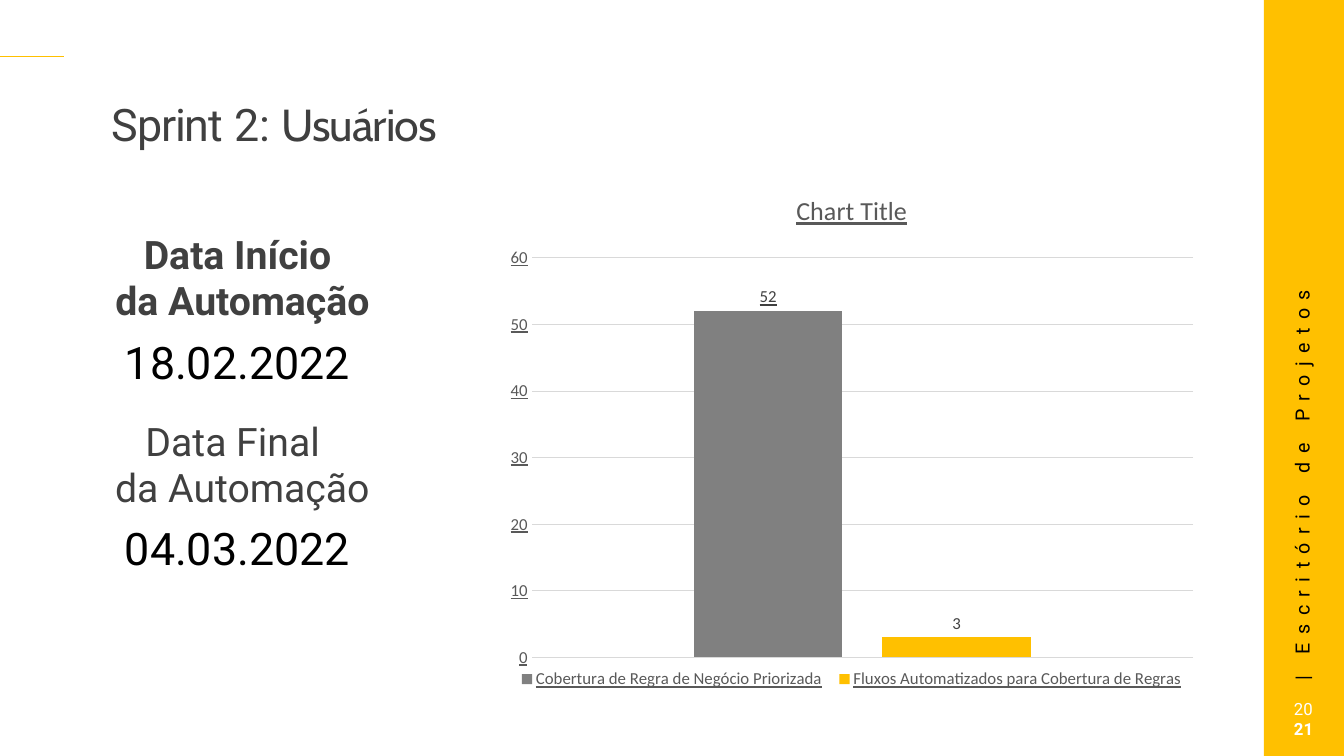
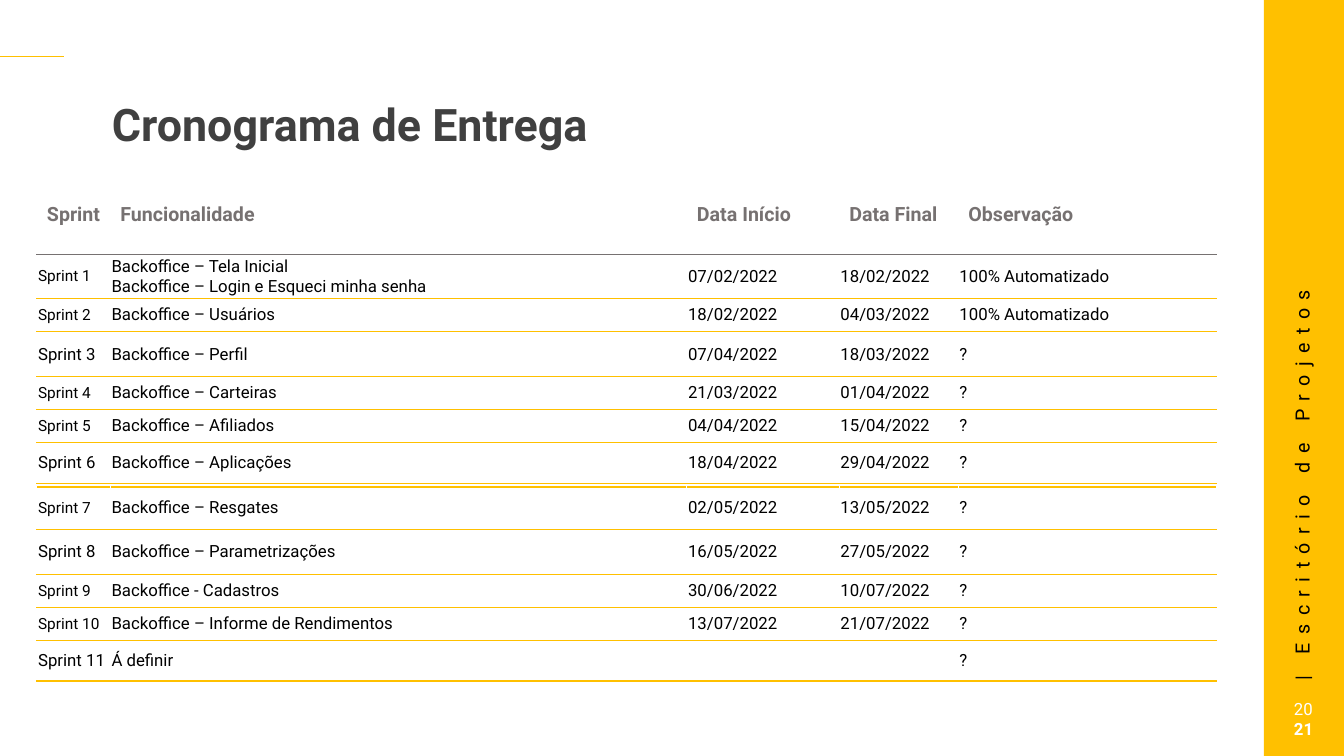
from pptx import Presentation
from pptx.chart.data import CategoryChartData
from pptx.dml.color import RGBColor
from pptx.enum.chart import XL_CHART_TYPE, XL_LABEL_POSITION, XL_LEGEND_POSITION, XL_TICK_MARK
from pptx.enum.shapes import MSO_CONNECTOR, MSO_SHAPE
from pptx.enum.text import MSO_ANCHOR, PP_ALIGN
from pptx.oxml import parse_xml
from pptx.oxml.ns import nsdecls, qn
from pptx.util import Cm, Pt

YELLOW, WHITE, BLACK = "FFC000", "FFFFFF", "000000"
DARK, GRAY = "404040", "767171"
SLIDE_W, SLIDE_H, BAND_X = 33.87, 19.05, 31.85

TITLE = {"size": 32, "name": "Roboto", "color": DARK}
HEADER = {"size": 14, "name": "Roboto", "color": GRAY, "bold": True}
BODY = {"size": 12, "name": "Roboto", "color": BLACK}
YEAR = BODY | {"color": WHITE}
SIDE = {"size": 14, "name": "Roboto", "color": BLACK, "spc": 6}
LABEL = {"size": 28, "name": "Roboto", "color": DARK}
DATE = {"size": 32, "name": "Roboto", "color": BLACK}
CHART = {"size": 12, "name": "Calibri", "color": "595959", "bold": False, "underline": True}

HEADINGS = ("Sprint", "Funcionalidade", "Data Início", "Data Final", "Observação")
COL_WIDTHS = (1.85, 14.53, 3.84, 3, 6.5)
HEADER_STYLE = (2.03, 14)
ROW_STYLES = [(1.07, 11), (0.84, 11), (1.14, 12), (0.82, 11), (0.84, 11), (1.02, 12)]
FIRST_SPRINTS = [
    ("Sprint 1", "Backoffice – Tela Inicial\nBackoffice – Login e Esqueci minha senha",
     "07/02/2022", "18/02/2022", "100% Automatizado"),
    ("Sprint 2", "Backoffice – Usuários", "18/02/2022", "04/03/2022", "100% Automatizado"),
    ("Sprint 3", "Backoffice – Perfil", "07/04/2022", "18/03/2022", "?"),
    ("Sprint 4", "Backoffice – Carteiras", "21/03/2022", "01/04/2022", "?"),
    ("Sprint 5", "Backoffice – Afiliados", "04/04/2022", "15/04/2022", "?"),
    ("Sprint 6", "Backoffice – Aplicações", "18/04/2022", "29/04/2022", "?"),
]
LAST_SPRINTS = [
    ("Sprint 7", "Backoffice – Resgates", "02/05/2022", "13/05/2022", "?"),
    ("Sprint 8", "Backoffice – Parametrizações", "16/05/2022", "27/05/2022", "?"),
    ("Sprint 9", "Backoffice - Cadastros", "30/06/2022", "10/07/2022", "?"),
    ("Sprint 10", "Backoffice – Informe de Rendimentos", "13/07/2022", "21/07/2022", "?"),
    ("Sprint 11", "Á definir", "", "", "?"),
]


def rgb(color):
    return RGBColor.from_string(color)


def box(*lengths):
    return [Cm(n) for n in lengths]


def format_font(font, fmt):
    for key, value in fmt.items():
        if key == "color":
            font.color.rgb = rgb(value)
        elif key == "spc":
            font._rPr.set("spc", str(round(value * 100)))
        else:
            setattr(font, key, Pt(value) if key == "size" else value)


def write(tf, paragraphs, **p_fmt):
    for i, runs in enumerate(paragraphs):
        p = tf.add_paragraph() if i else tf.paragraphs[0]
        for key, value in p_fmt.items():
            setattr(p, key, value)
        for text, fmt in runs:
            r = p.add_run()
            r.text = text
            format_font(r.font, fmt)


def add_text(s, at, paragraphs, anchor=MSO_ANCHOR.TOP, **p_fmt):
    tf = s.shapes.add_textbox(*box(*at)).text_frame
    tf.word_wrap = True
    tf.vertical_anchor = anchor
    write(tf, paragraphs, **p_fmt)
    return tf


def add_base(prs, title_runs):
    s = prs.slides.add_slide(prs.slide_layouts[6])
    line = s.shapes.add_connector(MSO_CONNECTOR.STRAIGHT, *box(0, 1.42, 1.61, 1.42))
    line.line.color.rgb = rgb(YELLOW)
    line.line.width = Pt(1)
    line._element.spPr.append(parse_xml(f"<a:effectLst {nsdecls('a')}/>"))
    band = s.shapes.add_shape(MSO_SHAPE.RECTANGLE, *box(BAND_X, 0, SLIDE_W - BAND_X, SLIDE_H))
    band.shadow.inherit = False
    band.fill.solid()
    band.fill.fore_color.rgb = rgb(YELLOW)
    band.line.fill.background()
    add_text(s, (32.36, 17.47, 1.14, 1.27), [[("20", YEAR)], [("21", YEAR | {"bold": True})]])
    tf = add_text(s, (31.83, 0, 2.03, 17.4), [[("| Escritório de Projetos", SIDE)]],
                  MSO_ANCHOR.MIDDLE, line_spacing=0.9)
    tf._txBody.bodyPr.set("vert", "vert270")
    add_text(s, (2.57, 2.03, 24.23, 2.34), [title_runs], MSO_ANCHOR.MIDDLE, line_spacing=0.9)
    return s


def set_borders(cell, top, bottom):
    tcPr = cell._tc.get_or_add_tcPr()
    for side, color in zip("LRTB", (WHITE, WHITE, top, bottom)):
        tcPr.append(parse_xml(
            f'<a:ln{side} {nsdecls("a")} w="12700"><a:solidFill>'
            f'<a:srgbClr val="{color}"/></a:solidFill></a:ln{side}>'))


def add_grid(s, left, top, widths, heights):
    frame = s.shapes.add_table(len(heights), len(widths),
                               *box(left, top, sum(widths), sum(heights)))
    table = frame.table
    table.first_row = table.horz_banding = False
    for col, width in zip(table.columns, widths):
        col.width = Cm(width)
    for row, height in zip(table.rows, heights):
        row.height = Cm(height)
    return table


def add_dates(s):
    items = [(("Data Início", " da Automação"), LABEL | {"bold": True}), (("18.02.2022",), DATE),
             (("Data Final ", " da Automação"), LABEL), (("04.03.2022",), DATE), ((), DATE)]
    table = add_grid(s, 0.41, 5.75, [11.15], [1.32, 2.08, 2.08, 3.15, 2.5])
    for row, (lines, fmt) in zip(table.rows, items):
        cell = row.cells[0]
        set_borders(cell, WHITE, WHITE)
        cell.fill.background()
        write(cell.text_frame, [[(text, fmt)] for text in lines], alignment=PP_ALIGN.CENTER)


def add_schedule(s, top, rows, styles, edge):
    table = add_grid(s, 0.93, top, COL_WIDTHS, [height for height, _ in styles])
    margins = {"margin_left": 0.03, "margin_top": 0.04, "margin_right": 0.03, "margin_bottom": 0.04}
    for row, values, (_, first_size) in zip(table.rows, rows, styles):
        rule = GRAY if values is HEADINGS else YELLOW
        for i, (cell, text) in enumerate(zip(row.cells, values)):
            set_borders(cell, edge, rule)
            cell.fill.background()
            cell.vertical_anchor = MSO_ANCHOR.MIDDLE
            fmt = HEADER
            if values is not HEADINGS:
                fmt = BODY if i else BODY | {"size": first_size}
                for key, value in margins.items():
                    setattr(cell, key, Cm(value))
            if text:
                write(cell.text_frame, [[(part, fmt)] for part in text.split("\n")])
        edge = rule


def set_layout(parent, index, target="", **shares):
    for old in parent.findall(qn("c:layout")):
        parent.remove(old)
    values = "".join(f'<c:{key} val="{value}"/>' for key, value in shares.items())
    parent.insert(index, parse_xml(
        f'<c:layout {nsdecls("c")}><c:manualLayout>{target}'
        f'<c:xMode val="edge"/><c:yMode val="edge"/>{values}</c:manualLayout></c:layout>'))


def add_coverage_chart(s):
    data = CategoryChartData()
    data.categories = ["1"]
    data.add_series("Cobertura de Regra de Negócio Priorizada", [52])
    data.add_series("Fluxos Automatizados para Cobertura de Regras", [3])
    chart = s.shapes.add_chart(XL_CHART_TYPE.COLUMN_CLUSTERED,
                               *box(12.5, 4.32, 17.93, 13.61), data).chart
    format_font(chart.font, {"size": 10, "name": "Calibri", "color": BLACK})
    chart.has_title = True
    write(chart.chart_title.text_frame, [[("Chart Title", CHART | {"size": 18.6})]])
    chart.has_legend = True
    chart.legend.position = XL_LEGEND_POSITION.BOTTOM
    chart.legend.include_in_layout = False
    format_font(chart.legend.font, CHART)
    chart.category_axis.visible = False
    axis = chart.value_axis
    for key, value in {"minimum_scale": 0, "maximum_scale": 60, "major_unit": 10,
                       "major_tick_mark": XL_TICK_MARK.NONE}.items():
        setattr(axis, key, value)
    axis.format.line.fill.background()
    axis.major_gridlines.format.line.color.rgb = rgb("D9D9D9")
    axis.major_gridlines.format.line.width = Pt(0.75)
    format_font(axis.tick_labels.font, CHART)
    plot = chart.plots[0]
    plot.gap_width, plot.overlap, plot.vary_by_categories = 219, -27, False
    for ser, color, underline in zip(plot.series, ("808080", YELLOW), (True, False)):
        ser.format.fill.solid()
        ser.format.fill.fore_color.rgb = rgb(color)
        labels = ser.data_labels
        labels.show_value = True
        labels.position = XL_LABEL_POSITION.OUTSIDE_END
        format_font(labels.font, CHART | {"color": DARK, "underline": underline})
    set_layout(chart._chartSpace.chart.plotArea, 0, '<c:layoutTarget val="inner"/>',
               x=0.05, y=0.16, w=0.93, h=0.74)
    set_layout(chart.legend._element, 1, x=0.02, y=0.92, w=0.96, h=0.04)


def main():
    prs = Presentation()
    prs.slide_width, prs.slide_height = box(SLIDE_W, SLIDE_H)

    s = add_base(prs, [
        ("Sprint", TITLE | {"spc": -0.9}), (" 2", TITLE | {"spc": 0.2}),
        (": ", TITLE | {"spc": -0.2}),
        ("Usuários", TITLE | {"name": "Cabin", "color": "3F3F3F", "spc": -0.7})])
    add_dates(s)
    add_coverage_chart(s)

    s = add_base(prs, [("Cronograma de Entrega", TITLE | {"bold": True})])
    add_schedule(s, 4.39, [HEADINGS] + FIRST_SPRINTS, [HEADER_STYLE] + ROW_STYLES, WHITE)
    add_schedule(s, 12.27, LAST_SPRINTS, ROW_STYLES[:1] + ROW_STYLES[2:], YELLOW)

    prs.save("out.pptx")


if __name__ == "__main__":
    main()
